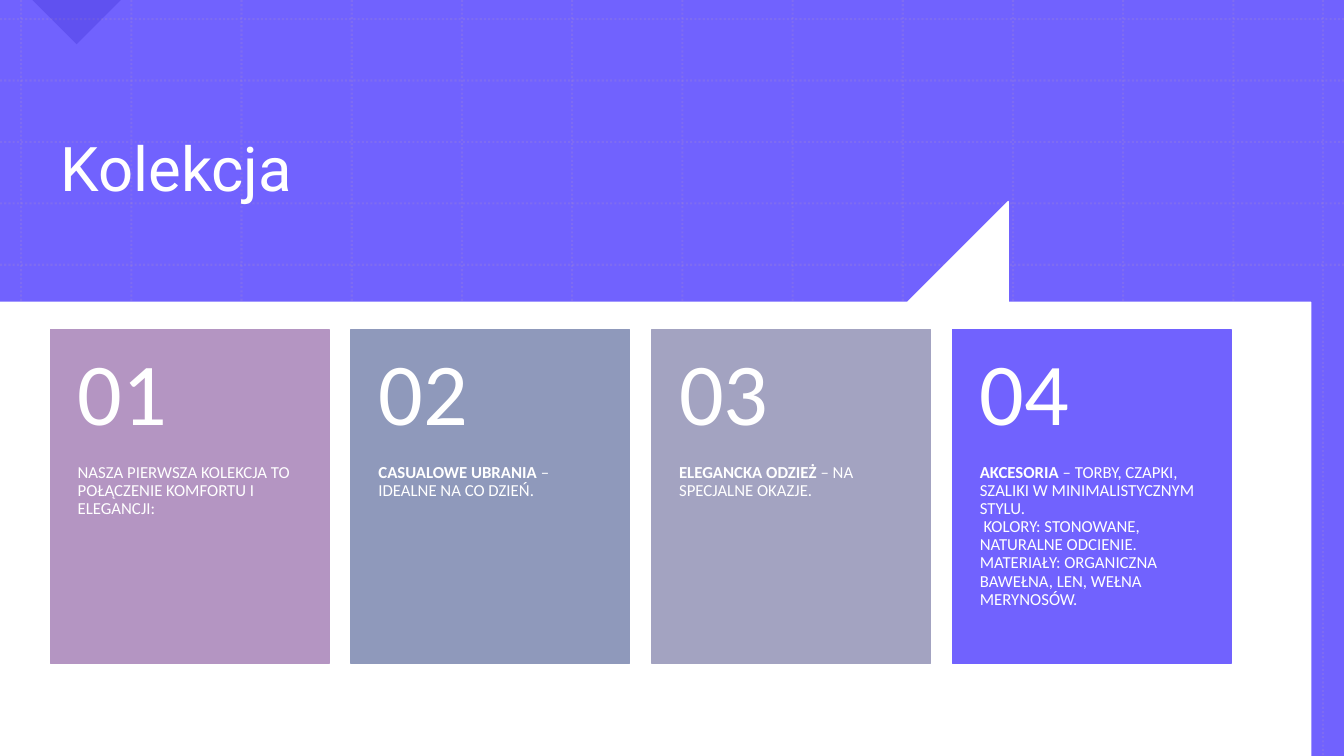
from lxml import etree
from pptx import Presentation
from pptx.dml.color import RGBColor
from pptx.enum.dml import MSO_LINE
from pptx.enum.shapes import MSO_CONNECTOR, MSO_SHAPE
from pptx.enum.text import MSO_ANCHOR, MSO_AUTO_SIZE, PP_ALIGN
from pptx.oxml.ns import qn
from pptx.util import Inches, Pt

WIDTH, HEIGHT = 13.33, 7.5
VIOLET, WHITE, GRID = "7162FE", "FFFFFF", "B495C2"
CARDS = [
    ("B495C2", [("NASZA PIERWSZA KOLEKCJA TO POŁĄCZENIE KOMFORTU I ELEGANCJI:", False)]),
    ("8F99BB", [("CASUALOWE UBRANIA", True), (" – IDEALNE NA CO DZIEŃ.", False)]),
    ("A3A3C1", [("ELEGANCKA ODZIEŻ", True), (" – NA SPECJALNE OKAZJE.", False)]),
    (VIOLET, [("AKCESORIA", True),
              (" – TORBY, CZAPKI, SZALIKI W MINIMALISTYCZNYM STYLU.\n"
               " KOLORY: STONOWANE, NATURALNE ODCIENIE. MATERIAŁY: ORGANICZNA "
               "BAWEŁNA, LEN, WEŁNA MERYNOSÓW.", False)]),
]


def paint(color_format, color, opacity=100):
    """Set a hex colour on a fill or line that is already solid, with opacity in percent."""
    color_format.rgb = RGBColor.from_string(color)


def fill_solid(fill, color, opacity=100):
    fill.solid()
    paint(fill.fore_color, color)
    if opacity < 100:
        solid = fill._xPr.find(qn("a:solidFill"))
        etree.SubElement(solid[0], qn("a:alpha"), val=str(opacity * 1000))


def style_shape(sp, color, opacity=100, outlined=False):
    sp.shadow.inherit = False
    fill_solid(sp.fill, color, opacity)
    if outlined:
        fill_solid(sp.line.fill, color)
        sp.line.width = Pt(1)
    else:
        sp.line.fill.background()
    return sp


def add_box(s, kind, box, color, **style):
    sp = s.shapes.add_shape(kind, *map(Inches, box))
    return style_shape(sp, color, **style)


def write_text(tf, runs, size, font="Calibri", color=WHITE,
               anchor=MSO_ANCHOR.TOP, insets=(0.1, 0.05, 0.1, 0.05)):
    """Fill a frame with one paragraph of (text, bold) runs; newlines become line breaks."""
    tf.word_wrap = True
    tf.auto_size = MSO_AUTO_SIZE.NONE
    tf.vertical_anchor = anchor
    tf.margin_left, tf.margin_top, tf.margin_right, tf.margin_bottom = map(Inches, insets)
    p = tf.paragraphs[0]
    p.alignment = PP_ALIGN.LEFT
    p.line_spacing = 0.9
    for text, bold in runs:
        for i, line in enumerate(text.split("\n")):
            if i:
                p.add_line_break()
            r = p.add_run()
            r.text = line
            r.font.name, r.font.size, r.font.bold = font, Pt(size), bold
            paint(r.font.color, color)


def add_grid_line(s, x1, y1, x2, y2):
    line = s.shapes.add_connector(MSO_CONNECTOR.STRAIGHT, *map(Inches, (x1, y1, x2, y2)))
    fill_solid(line.line.fill, GRID, 20)
    line.line.width = Pt(1.5)
    line.line.dash_style = MSO_LINE.ROUND_DOT
    etree.SubElement(line._element.spPr, qn("a:effectLst"))


def add_grid(s, left, top, width, height):
    columns = [0.21 + 1.093 * i for i in range(12)] + [13.12]
    for x in columns:
        add_grid_line(s, left + x, top, left + x, top + height)
    for row in range(5):
        y = top + 0.19 + 0.609 * row
        add_grid_line(s, left, y, left + width, y)


def add_wave(s, left, top, right, bottom):
    """White lower area whose upper edge is a cubic curve, starting at top on the left."""
    curve = [(left, top), (6.65, top), (6.69, top - 0.68), (right, top - 0.29)]
    steps = 60
    edge = []
    for i in range(steps + 1):
        t = i / steps
        weights = ((1 - t) ** 3, 3 * t * (1 - t) ** 2, 3 * t ** 2 * (1 - t), t ** 3)
        edge.append(tuple(sum(w * pt[k] for w, pt in zip(weights, curve)) for k in (0, 1)))
    builder = s.shapes.build_freeform(left, bottom, scale=Inches(1))
    builder.add_line_segments(edge + [(right, bottom)], close=True)
    style_shape(builder.convert_to_shape(), WHITE, outlined=True)


def add_header(s, left, top, width, height):
    add_box(s, MSO_SHAPE.RECTANGLE, (left, top, width, height), VIOLET)
    add_grid(s, left, top, width, height)
    corner = add_box(s, MSO_SHAPE.RIGHT_TRIANGLE,
                     (left + 0.45, top - 0.31, 0.62, 0.62), "1201AF", opacity=17)
    corner.rotation = 315
    add_wave(s, left, top + 2.91, left + width, top + height)


def set_title(s, text, left, top, width, height):
    title = s.shapes.title
    title.left, title.top, title.width, title.height = map(Inches, (left, top, width, height))
    write_text(title.text_frame, [(text, False)], 44, font="Roboto", anchor=MSO_ANCHOR.MIDDLE)
    title.element.getparent().append(title.element)  # bring in front of the header


def add_card(s, number, color, runs, left, top, width, height):
    number_height = 1.33
    add_box(s, MSO_SHAPE.RECTANGLE, (left, top, width, height), color, outlined=True)
    body = s.shapes.add_textbox(*map(Inches, (left, top + number_height,
                                              width, height - number_height)))
    write_text(body.text_frame, runs, 12, insets=(0.27, 0, 0.27, 0.36))
    label = s.shapes.add_textbox(*map(Inches, (left, top, width, number_height)))
    write_text(label.text_frame, [(f"{number:02}", False)], 63,
               anchor=MSO_ANCHOR.MIDDLE, insets=(0.27, 0.18, 0.27, 0.18))


def add_cards(s, left, top, width, height, gap=0.22):
    card_width = (width - gap * (len(CARDS) - 1)) / len(CARDS)
    for i, (color, runs) in enumerate(CARDS):
        add_card(s, i + 1, color, runs, left + i * (card_width + gap), top, card_width, height)


def main():
    prs = Presentation()
    prs.slide_width, prs.slide_height = Inches(WIDTH), Inches(HEIGHT)
    s = prs.slides.add_slide(prs.slide_layouts.get_by_name("Title Only"))
    add_header(s, 0, 0, WIDTH, HEIGHT)
    set_title(s, "Kolekcja", 0.5, 0.79, 11.75, 1.83)
    add_cards(s, 0.5, 3.27, 11.71, 3.31)
    prs.save("out.pptx")


if __name__ == "__main__":
    main()
